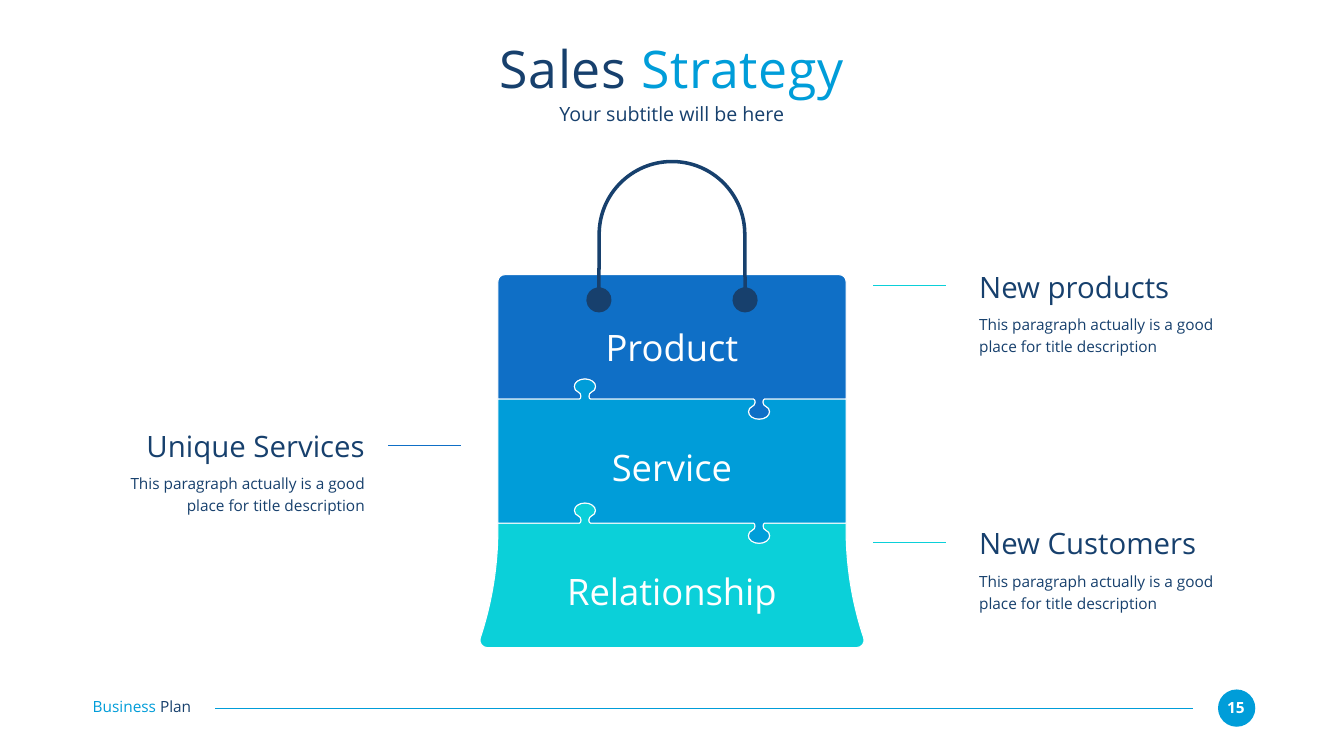
import math
from dataclasses import dataclass
from functools import reduce

from lxml import etree
from pptx import Presentation
from pptx import util as u
from pptx.dml.color import RGBColor
from pptx.enum import shapes, text
from pptx.oxml.ns import qn


@dataclass(frozen=True)
class Theme:
    font: str = "Open Sans"
    navy: str = "17406D"
    blue: str = "0F6FC6"
    sky: str = "009DD9"
    aqua: str = "0BD0D9"
    white: str = "FFFFFF"
    title: int = 74
    label: int = 52
    heading: int = 42
    subtitle: int = 28
    small: int = 22
    rule: float = 1.5


T = Theme()
LEFT, CENTER, RIGHT = text.PP_ALIGN.LEFT, text.PP_ALIGN.CENTER, text.PP_ALIGN.RIGHT


# --- basic parts ---
def rgb(color):
    return RGBColor.from_string(color)


def write(sp, runs, size, align=LEFT, bold=False, spacing=1.0):
    """Fill a text shape with (text, colour) runs; returns the runs."""
    tf = sp.text_frame
    tf.word_wrap = True
    tf.margin_left = tf.margin_top = tf.margin_right = tf.margin_bottom = 0
    p = tf.paragraphs[0]
    p.alignment, p.line_spacing, p.space_before = align, spacing, u.Pt(0)
    for words, color in runs:
        r = p.add_run()
        r.text = words
        r.font.name, r.font.size, r.font.bold = T.font, u.Pt(size), bold
        r.font.color.rgb = rgb(color)
    return p.runs


def add_text(s, box, runs, size, **style):
    write(s.shapes.add_textbox(*map(u.Inches, box)), runs, size, **style)


def add_rule(s, x1, x2, y, color):
    line = s.shapes.add_connector(
        shapes.MSO_CONNECTOR.STRAIGHT, *map(u.Inches, (x1, y, x2, y)))
    line.line.color.rgb = rgb(color)
    line.line.width = u.Pt(T.rule)
    etree.SubElement(line._element.spPr, qn("a:effectLst"))


def paint(sp, fill, outline=None):
    sp.shadow.inherit = False
    sp.fill.solid()
    sp.fill.fore_color.rgb = rgb(fill)
    if outline:
        sp.line.color.rgb = rgb(outline)
        sp.line.width = u.Pt(T.rule)
    else:
        sp.line.fill.background()


# --- outlines: Bezier chains [node, control, control, node, ...] in inches ---
def join(*chains):
    """Connect chains end to end with straight segments."""
    return reduce(lambda a, b: a + b[1:] if a[-1] == b[0] else a + [a[-1], b[0]] + b,
                  chains)


def arc(cx, cy, radius, start, end, pieces=1):
    step = math.radians(end - start) / pieces
    k = 4 / 3 * math.tan(step / 4)
    chain = []
    for i in range(pieces + 1):
        a = math.radians(start) + i * step
        c, d = math.cos(a), math.sin(a)
        chain += [(cx + radius * (c - t * d), cy + radius * (d + t * c))
                  for t in (-k, 0, k)]
    return chain[1:-1]


def mirrored(chain):
    """Reflect about x = 0, in reverse order so that outlines continue."""
    return [(-x, y) for x, y in reversed(chain)]


HALF_KNOB = [
    (-0.11, 0),
    (-0.09, 0), (-0.08, 0.03), (-0.08, 0.06),
    (-0.08, 0.1), (-0.1, 0.13), (-0.13, 0.14),
    (-0.18, 0.16), (-0.21, 0.2), (-0.21, 0.25),
    (-0.21, 0.33), (-0.12, 0.4), (0, 0.4)]
KNOB = join(HALF_KNOB, mirrored(HALF_KNOB))


def seam(half_width, y):
    """Jigsaw edge, left to right: one knob up, one knob down."""
    up, down = ([(side * half_width / 2 + dx, y + side * dy) for dx, dy in KNOB]
                for side in (-1, 1))
    return join([(-half_width, y)], up, down, [(half_width, y)])


def add_outline(s, cx, top, chain, fill, outline=None):
    emu = [(u.Inches(cx + x), u.Inches(top + y)) for x, y in chain]
    builder = s.shapes.build_freeform(*emu[0])
    builder.add_line_segments(emu[3::3], close=True)
    sp = builder.convert_to_shape()
    # Turn each straight segment into its Bezier curve
    for i, segment in enumerate(list(sp._element.iter(qn("a:lnTo")))):
        segment.tag = qn("a:cubicBezTo")
        for place, (x, y) in enumerate(emu[3 * i + 1:3 * i + 3]):
            pt = etree.Element(qn("a:pt"), x=str(x - sp.left), y=str(y - sp.top))
            segment.insert(place, pt)
    paint(sp, fill, outline)


# --- regions ---
def add_header(s, box):
    x, y, w, h = box
    title, subtitle = s.shapes.title, s.placeholders[1]
    for sp, top, height in ((title, y, 1.27), (subtitle, y + 1.3, h - 1.3)):
        sp.left, sp.top, sp.width, sp.height = map(u.Inches, (x, top, w, height))
        sp.text_frame.auto_size = text.MSO_AUTO_SIZE.NONE
        sp.text_frame.vertical_anchor = text.MSO_ANCHOR.MIDDLE
    for r in write(title, [("Sales ", T.navy), ("Strategy", T.sky)], T.title, align=CENTER):
        r.font._element.set("spc", "100")
    pPr = subtitle.text_frame.paragraphs[0]._p.get_or_add_pPr()
    pPr.set("marL", "0")
    pPr.set("indent", "0")
    etree.SubElement(pPr, qn("a:buNone"))
    write(subtitle, [("Your subtitle will be here", T.navy)], T.subtitle, align=CENTER)


def add_bag(s, box):
    x, y, w, h = box
    cx, flare, half = x + w / 2, w / 2, 3.455
    rim, seam1, seam2 = 2.28, 4.75, 7.21
    upper, lower = seam(half, seam1), seam(half, seam2)

    # Three interlocking bands
    corner = [(-half, rim + 0.14),
              (-half, rim + 0.06), (0.06 - half, rim), (0.14 - half, rim)]
    side = [(half, seam2 + 0.13),
            (half, seam2 + 0.86), (half + 0.12, h - 0.88), (flare - 0.03, h - 0.19),
            (flare, h - 0.1), (flare - 0.07, h), (flare - 0.17, h)]
    add_outline(s, cx, y, join(lower, side, mirrored(side)), T.aqua, T.white)
    add_outline(s, cx, y, join(corner, mirrored(corner), upper[::-1]), T.blue, T.white)
    add_outline(s, cx, y, join(upper, lower[::-1]), T.sky, T.white)

    # Handle: half an arch ending in a round rivet, then its mirror
    half_handle = join(arc(0, 1.48, 1.48, 270, 180),
                       arc(-1.45, 2.78, 0.25, 262, -82, pieces=4),
                       arc(0, 1.48, 1.41, 180, 270))
    add_outline(s, cx, y, join(half_handle, mirrored(half_handle)), T.navy)

    # Band labels
    for label, top in (("Product", 3.28), ("Service", 5.66), ("Relationship", 8.12)):
        add_text(s, (cx - 2.635, y + top, 5.27, 0.88), [(label, T.white)], T.label,
                 align=CENTER)


def add_callout(s, box, heading, color, align):
    x, y, w, h = box
    end = x + w + 0.46 if align == RIGHT else x - 2.1
    add_rule(s, end + 1.44, end, y + 0.34, color)
    add_text(s, (x, y, w, 0.71), [(heading, T.navy)], T.heading, align=align)
    add_text(s, (x, y + 0.85, w, h - 0.85),
             [("This paragraph actually is a good place for title description", T.navy)],
             T.small, align=align, spacing=1.2)


def add_footer(s, box):
    x, y, w, h = box
    badge = s.shapes.add_shape(shapes.MSO_SHAPE.OVAL,
                               *map(u.Inches, (x + w - h, y, h, h)))
    paint(badge, T.sky)
    add_text(s, (x + w - h + 0.06, y + 0.17, 0.59, 0.37), [("15", T.white)], T.small,
             align=CENTER, bold=True)
    add_rule(s, x + w - 1.24, x + 2.43, y + h / 2, T.sky)
    add_text(s, (x, y + 0.16, 2.59, 0.37), [("Business ", T.sky), ("Plan", T.navy)], T.small)


def main():
    prs = Presentation()
    prs.slide_width, prs.slide_height = u.Inches(26.67), u.Inches(15)
    s = prs.slides.add_slide(prs.slide_layouts[1])
    add_footer(s, (1.84, 13.68, 23.07, 0.74))
    add_header(s, (1.83, 0.71, 23, 1.79))
    add_bag(s, (9.5, 3.17, 7.67, 9.68))
    for x, y, heading, color, align in (
            (1.83, 8.49, "Unique Services", T.blue, RIGHT),
            (19.43, 10.42, "New Customers", T.aqua, LEFT),
            (19.43, 5.33, "New products", T.aqua, LEFT)):
        add_callout(s, (x, y, 5.41, 1.74), heading, color, align)
    prs.save("out.pptx")


if __name__ == "__main__":
    main()
